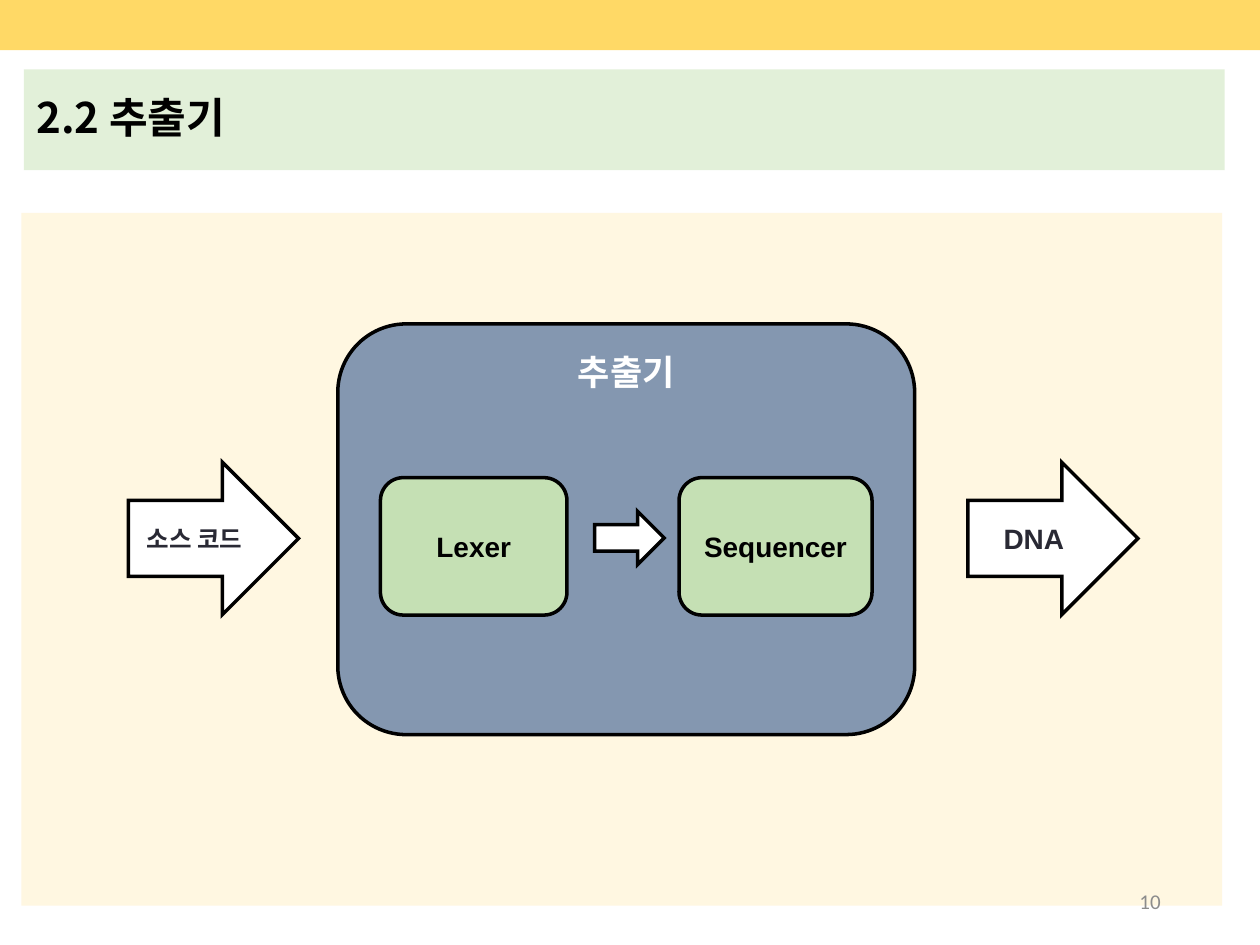
"""Build the extractor slide: source code goes in, DNA comes out."""
from lxml import etree
from pptx import Presentation
from pptx.dml.color import RGBColor
from pptx.enum.shapes import MSO_SHAPE
from pptx.enum.text import MSO_ANCHOR, MSO_AUTO_SIZE, PP_ALIGN
from pptx.oxml.ns import qn
from pptx.util import Cm, Pt

RECTANGLE = MSO_SHAPE.RECTANGLE
ROUNDED = MSO_SHAPE.ROUNDED_RECTANGLE
ARROW = MSO_SHAPE.RIGHT_ARROW
TOP, MIDDLE = MSO_ANCHOR.TOP, MSO_ANCHOR.MIDDLE
LEFT, CENTER, RIGHT = PP_ALIGN.LEFT, PP_ALIGN.CENTER, PP_ALIGN.RIGHT
NO_AUTOFIT = MSO_AUTO_SIZE.NONE
TITLE_ONLY = 5
KOREAN_FONT = "Noto Sans CJK KR"

COLORS = {
    "band": "FFD966",
    "panel": "FFF7E1",
    "title": "E2F0D9",
    "extractor": "8497B0",
    "stage": "C5E0B4",
    "white": "FFFFFF",
    "black": "000000",
    "label": "292934",
    "number": "8C8C8C",
}


class SlideBuilder:
    """Hold the style and the current slide."""

    def __init__(self, presentation):
        self.slide = presentation.slides.add_slide(presentation.slide_layouts[TITLE_ONLY])
        self.formats = {
            "title": {"name": KOREAN_FONT, "size": Pt(24), "bold": True},
            "heading": {"name": "Arial", "size": Pt(20), "bold": True},
            "label": {"name": "Arial", "size": Pt(16), "bold": True},
            "small": {"name": "Arial", "size": Pt(14), "bold": True},
            "number": {"name": "Calibri", "size": Pt(12), "bold": False},
        }

    def color(self, name):
        return RGBColor.from_string(COLORS[name])

    def fill(self, shape, name):
        shape.fill.solid()
        shape.fill.fore_color.rgb = self.color(name)

    def add_text(self, shape, text, style, color, align=CENTER, anchor=MIDDLE):
        frame = shape.text_frame
        frame.word_wrap = True
        frame.auto_size = NO_AUTOFIT
        frame.vertical_anchor = anchor
        paragraph = frame.paragraphs[0]
        paragraph.alignment = align
        run = paragraph.add_run()
        run.text = text
        for attribute, value in self.formats[style].items():
            setattr(run.font, attribute, value)
        run.font.color.rgb = self.color(color)
        etree.SubElement(run.font._element, qn("a:ea"), typeface=KOREAN_FONT)
        return paragraph

    def title(self, text, box):
        shape = self.slide.shapes.title
        shape.left, shape.top, shape.width, shape.height = map(Cm, box)
        self.fill(shape, "title")
        self.add_text(shape, text, "title", "black", LEFT).line_spacing = 0.9

    def block(self, kind, box, fill, outlined=True):
        shape = self.slide.shapes.add_shape(kind, *map(Cm, box))
        shape.shadow.inherit = False
        self.fill(shape, fill)
        if outlined:
            shape.line.color.rgb = self.color("black")
            shape.line.width = Pt(2)
            etree.SubElement(shape.line._ln, qn("a:miter"), lim="800000")
        else:
            shape.line.fill.background()
        return shape

    def number(self, text, box):
        shape = self.slide.shapes.add_textbox(*map(Cm, box))
        self.add_text(shape, text, "number", "number", RIGHT)


def main():
    presentation = Presentation()
    presentation.slide_width, presentation.slide_height = Cm(25.4), Cm(19.05)
    builder = SlideBuilder(presentation)

    builder.block(RECTANGLE, (-0.08, -0.08, 25.83, 1.09), "band", outlined=False)
    builder.block(RECTANGLE, (0.43, 4.29, 24.21, 13.97), "panel", outlined=False)
    builder.title("2.2 추출기", (0.48, 1.4, 24.21, 2.03))

    extractor = builder.block(ROUNDED, (6.81, 6.53, 11.63, 8.28), "extractor")
    builder.add_text(extractor, "추출기", "heading", "white", anchor=TOP)

    for text, left, style in (("소스 코드", 2.59, "small"), ("DNA", 19.51, "label")):
        arrow = builder.block(ARROW, (left, 9.32, 3.43, 3.07), "white")
        builder.add_text(arrow, text, style, "label")

    for text, left, width in (("Lexer", 7.67, 3.76), ("Sequencer", 13.69, 3.89)):
        stage = builder.block(ROUNDED, (left, 9.63, width, 2.77), "stage")
        builder.add_text(stage, text, "label", "black")
    builder.block(ARROW, (11.99, 10.31, 1.4, 1.07), "white")

    builder.number("10", (17.93, 17.65, 5.72, 1.02))
    presentation.save("out.pptx")


if __name__ == "__main__":
    main()
